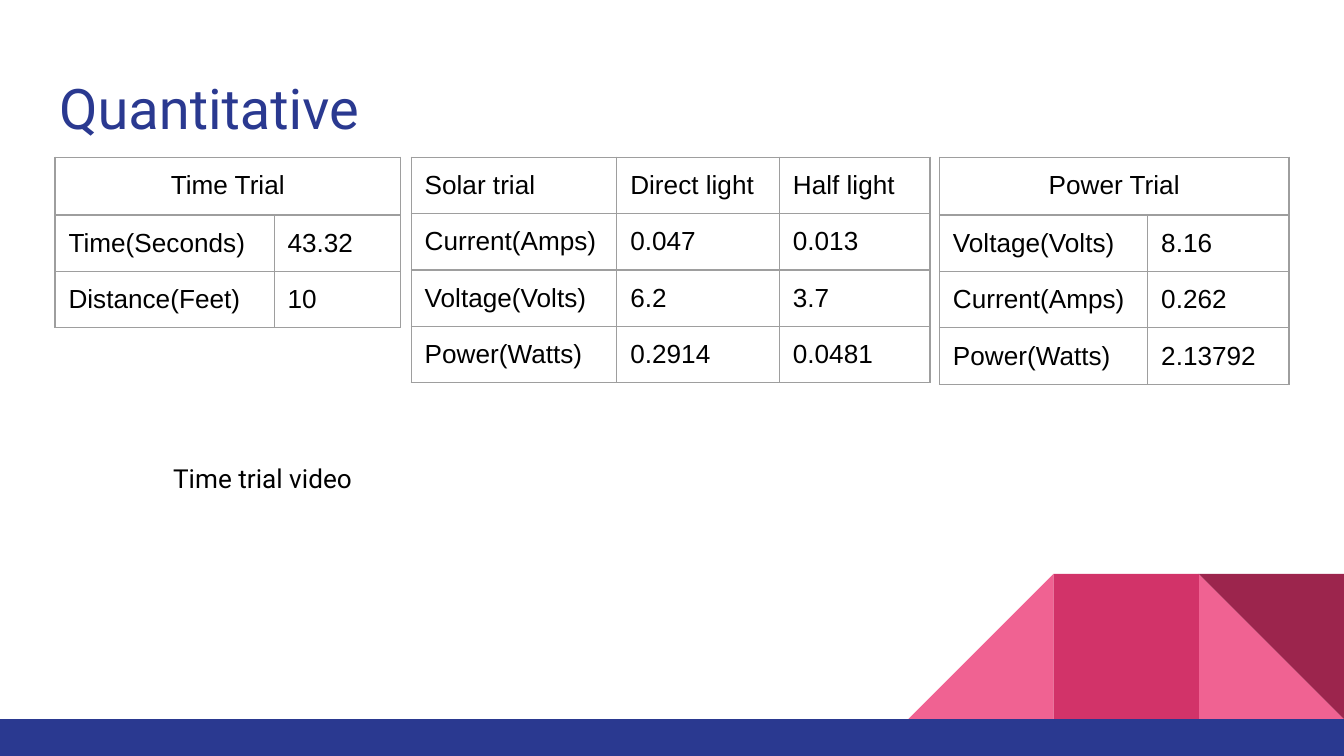
from lxml import etree
from pptx import Presentation
from pptx import util as u
from pptx.dml.color import RGBColor
from pptx.enum import shapes, text
from pptx.oxml.ns import qn

COLORS = {"navy": "2A3990", "pink": "F06292", "rose": "D23369", "wine": "9C254D",
          "grid": "9E9E9E", "black": "000000", "white": "FFFFFF"}
FORMATS = {"title": {"name": "Roboto", "size": u.Pt(30), "color": "navy"},
           "cell": {"name": "Arial", "size": u.Pt(14), "color": "black"},
           "label": {"name": "Roboto", "size": u.Pt(14), "color": "black"}}
MARGINS = ("margin_left", "margin_top", "margin_right", "margin_bottom")
PAD = u.Inches(0.1)


def rgb(name):
    """Return the named colour."""
    return RGBColor.from_string(COLORS[name])


def inches(*values):
    """Turn numbers into lengths."""
    return [u.Inches(v) for v in values]


def write(tf, words, style, align=text.PP_ALIGN.LEFT):
    """Put one formatted paragraph into a text frame."""
    p = tf.paragraphs[0]
    p.alignment = align
    r = p.add_run()
    r.text = words
    for key, value in FORMATS[style].items():
        if key == "color":
            r.font.color.rgb = rgb(value)
        else:
            setattr(r.font, key, value)


def set_frame(tf):
    """Give a text frame equal insets, wrapping and top anchoring."""
    for margin in MARGINS:
        setattr(tf, margin, PAD)
    tf.word_wrap = True
    tf.auto_size = text.MSO_AUTO_SIZE.NONE
    tf.vertical_anchor = text.MSO_ANCHOR.TOP


def add_title(s, box, words):
    """Place the title placeholder in the box."""
    sp = s.shapes.title
    sp.left, sp.top, sp.width, sp.height = inches(*box)
    set_frame(sp.text_frame)
    write(sp.text_frame, words, "title")


def add_label(s, box, words):
    """Add a plain text box."""
    sp = s.shapes.add_textbox(*inches(*box))
    set_frame(sp.text_frame)
    write(sp.text_frame, words, "label")


def add_borders(cell):
    """Draw a thin line on all four sides of a cell."""
    tc_pr = cell._tc.get_or_add_tcPr()
    for i, side in enumerate(("lnL", "lnR", "lnT", "lnB")):
        ln = etree.Element(qn(f"a:{side}"), w=str(u.Pt(0.75)))
        fill = etree.SubElement(ln, qn("a:solidFill"))
        etree.SubElement(fill, qn("a:srgbClr"), val=COLORS["grid"])
        tc_pr.insert(i, ln)


def add_trial(s, left, top, widths, heights, rows):
    """Add a trial table; a one-item first row becomes a merged heading."""
    size = inches(left, top, sum(widths), sum(heights))
    table = s.shapes.add_table(len(rows), len(widths), *size).table
    table.first_row = table.horz_banding = False
    for col, width in zip(table.columns, widths):
        col.width = u.Inches(width)
    for row, height in zip(table.rows, heights):
        row.height = u.Inches(height)
    merged = len(rows[0]) == 1
    if merged:
        table.cell(0, 0).merge(table.cell(0, len(widths) - 1))
    for cell in table.iter_cells():
        cell.fill.background()
        add_borders(cell)
        for margin in MARGINS:
            setattr(cell, margin, PAD)
    for i, values in enumerate(rows):
        centred = merged and i == 0
        align = text.PP_ALIGN.CENTER if centred else text.PP_ALIGN.LEFT
        for j, value in enumerate(values):
            write(table.cell(i, j).text_frame, value, "cell", align)


def add_block(s, kind, box, color):
    """Add one flat shape."""
    sp = s.shapes.add_shape(kind, *inches(*box))
    sp.shadow.inherit = False
    sp.fill.solid()
    sp.fill.fore_color.rgb = rgb(color)
    sp.line.fill.background()
    return sp


def add_footer(s, left, top, width, height, side=1.08):
    """Add the bottom band with square blocks standing on its right end."""
    kinds = shapes.MSO_SHAPE
    right = left + width
    blocks = [(1, kinds.RIGHT_TRIANGLE, "pink", 0, False),
              (3, kinds.RIGHT_TRIANGLE, "pink", 0, True),
              (2, kinds.RECTANGLE, "rose", 0, False),
              (1, kinds.RIGHT_TRIANGLE, "wine", 180, False)]
    for n, kind, color, angle, flip in blocks:
        sp = add_block(s, kind, (right - n * side, top - side, side, side), color)
        sp.rotation = angle
        if flip:
            sp._element.spPr.find(qn("a:xfrm")).set("flipH", "1")
    add_block(s, kinds.RECTANGLE, (left, top, width, height), "navy")


def main():
    """Build the slide and save it."""
    prs = Presentation()
    prs.slide_width, prs.slide_height = inches(10, 5.625)
    s = prs.slides.add_slide(prs.slide_layouts[5])
    s.background.fill.solid()
    s.background.fill.fore_color.rgb = rgb("white")
    add_footer(s, 0, 5.35, 10, 0.28)
    add_title(s, (0.34, 0.45, 9.32, 0.66), "Quantitative")
    top, row = 1.17, 0.42
    add_trial(s, 0.41, top, [1.63, 0.94], [0.43] + [row] * 2,
              [["Time Trial"], ["Time(Seconds)", "43.32"], ["Distance(Feet)", "10"]])
    add_trial(s, 6.99, top, [1.55, 1.05], [0.43] + [row] * 3,
              [["Power Trial"], ["Voltage(Volts)", "8.16"],
               ["Current(Amps)", "0.262"], ["Power(Watts)", "2.13792"]])
    add_trial(s, 3.06, top, [1.53, 1.21, 1.12], [row] * 4,
              [["Solar trial", "Direct light", "Half light"],
               ["Current(Amps)", "0.047", "0.013"],
               ["Voltage(Volts)", "6.2", "3.7"],
               ["Power(Watts)", "0.2914", "0.0481"]])
    add_label(s, (1.19, 3.34, 3.4, 1.64), "Time trial video")
    prs.save("out.pptx")


main()
